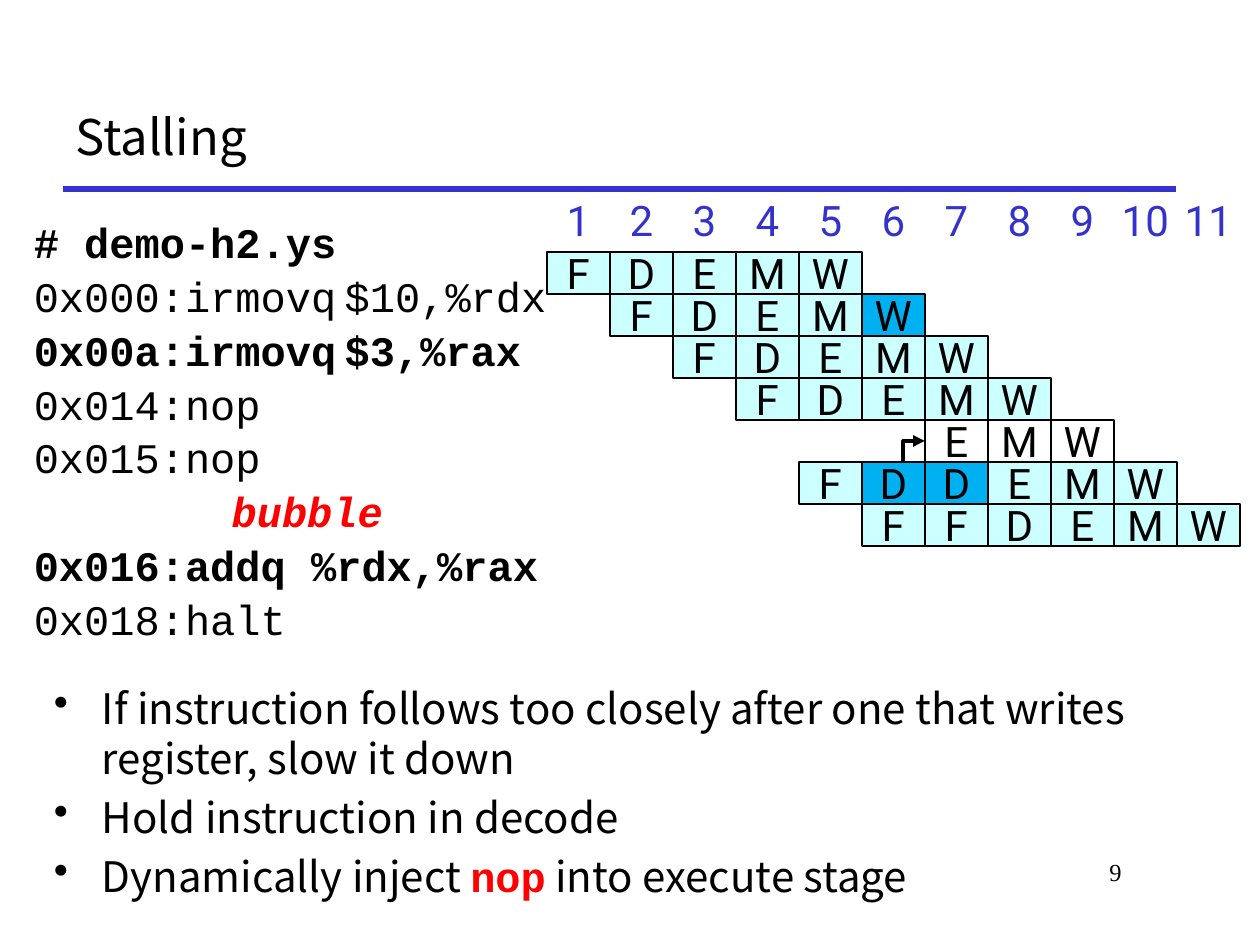
from dataclasses import dataclass

from lxml import etree
from pptx import Presentation
from pptx import util as u
from pptx.dml.color import RGBColor
from pptx.enum import shapes, text
from pptx.oxml import ns

BLACK, BLUE, RED, WHITE = "000000", "3333CC", "FF0000", "FFFFFF"
CYAN, HIGHLIGHT = "CCFFFF", "00B0F0"
SANS, MONO, CELL_FONT, SERIF = "Noto Sans CJK KR", "Courier New", "Roboto", "Times New Roman"
GRID_LEFT, GRID_TOP, CELL_WIDTH, CELL_HEIGHT = 4.34, 2, 0.5, 1 / 3
HANGING = 0.38


@dataclass
class Span:
    words: str
    font: str = SANS
    size: float = 24
    color: str = BLACK
    bold: bool = False
    italic: bool = False


@dataclass
class Instruction:
    """A row of the pipeline diagram; held cycles are highlighted."""
    row: int
    first_cycle: int
    stages: str
    fill: str | None = CYAN
    highlighted: tuple[int, ...] = ()


def code(words: str, bold: bool = False, size: float = 24) -> Span:
    return Span(words, MONO, size, bold=bold)


CODE_LINES = [
    [code("# demo-h2.ys", True)],
    [code("0x000:irmovq"), code(" ", size=8), code("$10,%rdx")],
    [code("0x00a:irmovq", True), code(" ", True, 8), code("$3,%rax", True)],
    [code("0x014:nop")],
    [code("0x015:nop")],
    [Span("bubble", MONO, color=RED, bold=True, italic=True)],
    [code("0x016:addq %rdx,%rax", True)],
    [code("0x018:halt")],
]
BUBBLE_LINE, BUBBLE_INDENT = 5, 1.57

BULLETS = [
    [Span("If instruction follows too closely after one that writes register, slow it down")],
    [Span("Hold instruction in decode")],
    [Span("Dynamically inject "), Span("nop", MONO, color=RED, bold=True),
     Span(" into execute stage")],
]

PIPELINE = [
    Instruction(0, 1, "FDEMW"),
    Instruction(1, 2, "FDEMW", highlighted=(6,)),
    Instruction(2, 3, "FDEMW"),
    Instruction(3, 4, "FDEMW"),
    Instruction(4, 7, "EMW", fill=None),
    Instruction(5, 5, "FDDEMW", highlighted=(6, 7)),
    Instruction(6, 6, "FFDEMW"),
]


def rgb(color: str) -> RGBColor:
    return RGBColor.from_string(color)


def add_span(para, span: Span) -> None:
    run = para.add_run()
    run.text = span.words
    font = run.font
    font.name, font.size = span.font, u.Pt(span.size)
    font.bold, font.italic = span.bold, span.italic
    font.color.rgb = rgb(span.color)
    for tag in ("a:ea", "a:cs"):
        etree.SubElement(run._r.get_or_add_rPr(), ns.qn(tag), typeface=span.font)


def add_box(page, left: float, top: float, width: float, height: float):
    box = page.shapes.add_textbox(*map(u.Inches, (left, top, width, height)))
    box.text_frame.word_wrap = True
    return box.text_frame


def indent(para, left: float, first: float) -> None:
    properties = para._p.get_or_add_pPr()
    properties.set("marL", str(u.Inches(left)))
    properties.set("indent", str(u.Inches(first)))


def add_lines(frame, lines: list[list[Span]], spacing: float, bullet: str = "") -> None:
    """Fill a frame with evenly spaced hanging paragraphs."""
    frame.margin_top = u.Inches(0.09)
    for index, spans in enumerate(lines):
        para = frame.paragraphs[0] if index == 0 else frame.add_paragraph()
        indent(para, HANGING, -HANGING)
        if bullet:
            etree.SubElement(para._p.get_or_add_pPr(), ns.qn("a:buChar"), char=bullet)
        para.line_spacing = u.Pt(spacing)
        para.space_before = u.Pt(5 if index else 0)
        for span in spans:
            add_span(para, span)


def add_cell(page, cycle: int, top: float, label: Span, fill: str | None, outlined: bool) -> None:
    left = GRID_LEFT + (cycle - 1) * CELL_WIDTH
    cell = page.shapes.add_shape(
        shapes.MSO_SHAPE.RECTANGLE,
        *map(u.Inches, (left, top, CELL_WIDTH, CELL_HEIGHT)))
    cell.shadow.inherit = False
    if fill:
        cell.fill.solid()
        cell.fill.fore_color.rgb = rgb(fill)
    else:
        cell.fill.background()
    if outlined:
        cell.line.color.rgb = rgb(BLACK)
        cell.line.width = u.Pt(1)
    else:
        cell.line.fill.background()
    frame = cell.text_frame
    frame.word_wrap = False
    frame.vertical_anchor = text.MSO_ANCHOR.MIDDLE
    para = frame.paragraphs[0]
    para.alignment = text.PP_ALIGN.CENTER
    add_span(para, label)


def add_pipeline(page) -> None:
    for cycle in range(1, 12):
        add_cell(page, cycle, 1.58, Span(str(cycle), CELL_FONT, color=BLUE), WHITE, False)
    for item in PIPELINE:
        top = GRID_TOP + item.row * CELL_HEIGHT
        for cycle, stage in enumerate(item.stages, item.first_cycle):
            fill = HIGHLIGHT if cycle in item.highlighted else item.fill
            add_cell(page, cycle, top, Span(stage, CELL_FONT), fill, True)


def add_bubble_arrow(page) -> None:
    points = [(u.Inches(x), u.Inches(y)) for x, y in ((7.17, 3.66), (7.17, 3.5), (7.34, 3.5))]
    builder = page.shapes.build_freeform(*points[0])
    builder.add_line_segments(points[1:], close=False)
    arrow = builder.convert_to_shape()
    arrow.shadow.inherit = False
    arrow.fill.background()
    arrow.line.color.rgb = rgb(BLACK)
    arrow.line.width = u.Pt(2.25)
    etree.SubElement(arrow.line._get_or_add_ln(), ns.qn("a:tailEnd"), type="triangle")


def add_title_rule(page) -> None:
    rule = page.shapes.add_connector(
        shapes.MSO_CONNECTOR.STRAIGHT, *map(u.Inches, (0.5, 1.5, 9.33, 1.5)))
    rule.line.color.rgb = rgb(BLUE)
    rule.line.width = u.Pt(3)
    etree.SubElement(rule._element.spPr, ns.qn("a:effectLst"))


def main() -> None:
    deck = Presentation()
    deck.slide_width, deck.slide_height = u.Inches(10), u.Inches(7.5)
    page = deck.slides.add_slide(deck.slide_layouts[6])

    add_title_rule(page)
    number = add_box(page, 7.58, 6.75, 1.42, 0.5).paragraphs[0]
    number.alignment = text.PP_ALIGN.RIGHT
    add_span(number, Span("9", SERIF, 14))

    title = add_box(page, 0.5, 0.65, 8.75, 0.85)
    title.vertical_anchor = text.MSO_ANCHOR.MIDDLE
    add_span(title.paragraphs[0], Span("Stalling", size=28))

    listing = add_box(page, 0.17, 1.67, 4.67, 4.83)
    add_lines(listing, CODE_LINES, 25.8)
    indent(listing.paragraphs[BUBBLE_LINE], BUBBLE_INDENT, 0)

    add_pipeline(page)
    add_bubble_arrow(page)
    add_lines(add_box(page, 0.33, 5.33, 9.08, 2), BULLETS, 28.6, "•")
    deck.save("out.pptx")


if __name__ == "__main__":
    main()
